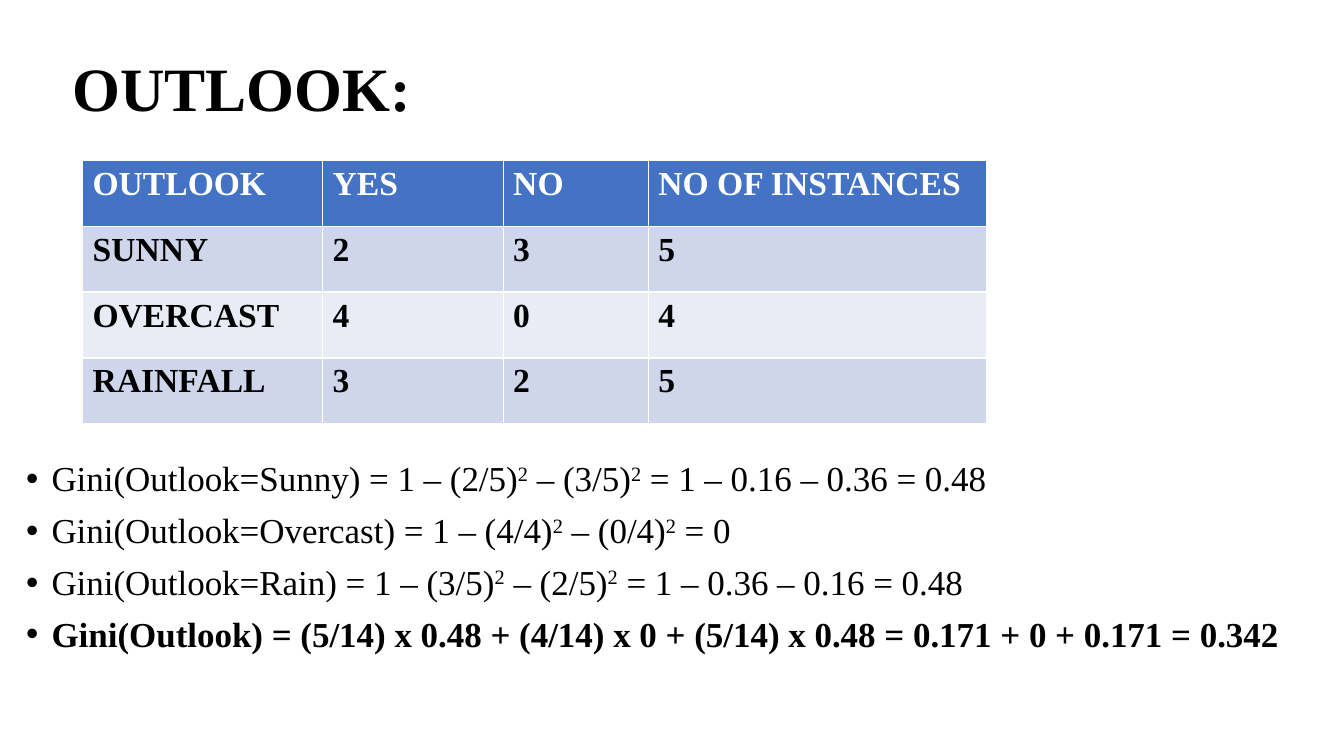
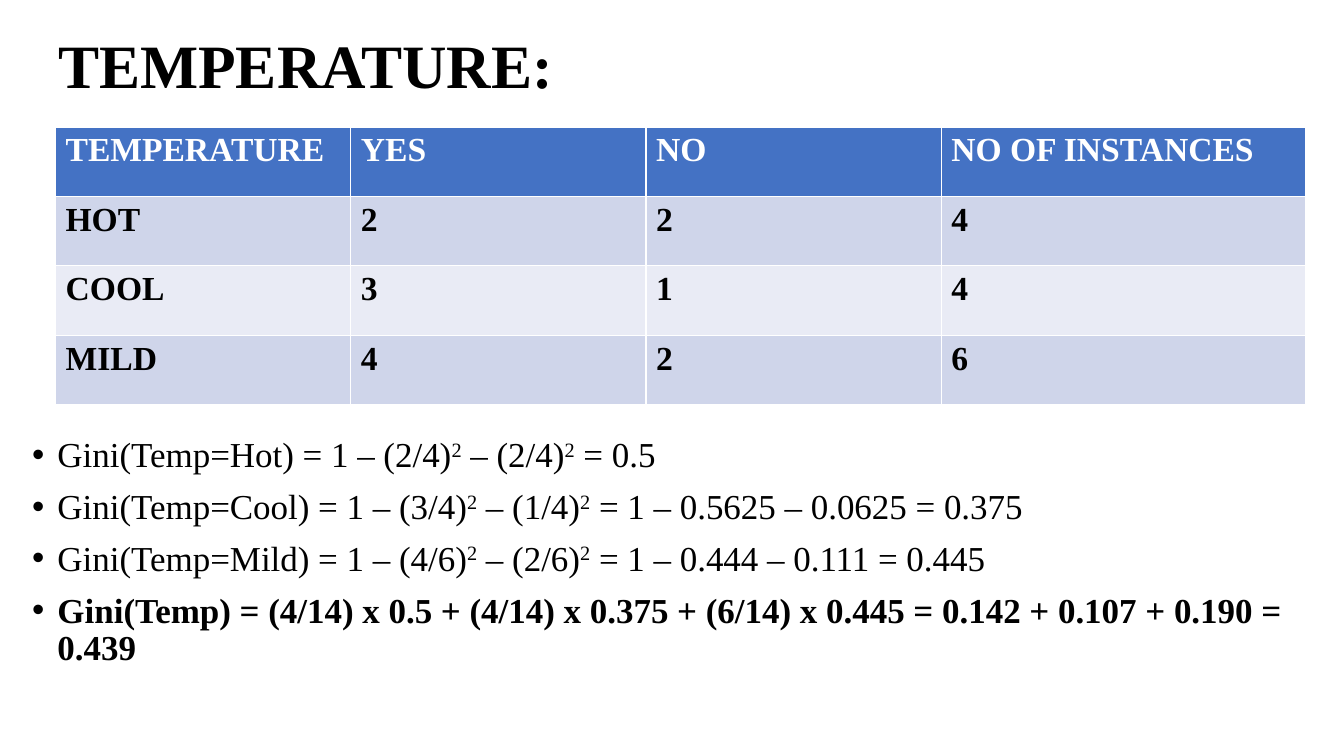
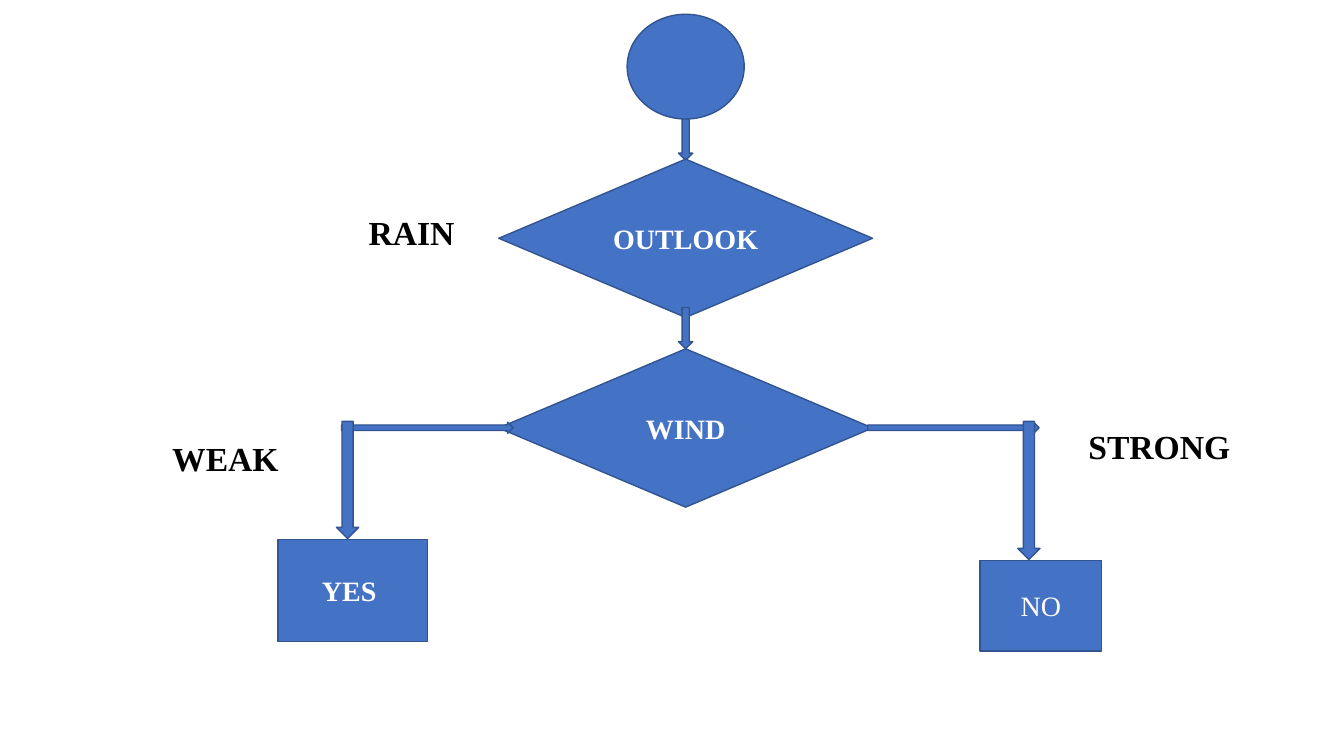
import pptx
import pptx.util
import pptx.dml.color
import pptx.enum.shapes
import pptx.enum.text
import lxml.etree
from pptx.oxml.ns import qn

Cm = pptx.util.Cm
Pt = pptx.util.Pt
SHAPE = pptx.enum.shapes.MSO_SHAPE
ANCHOR = pptx.enum.text.MSO_ANCHOR
ALIGN = pptx.enum.text.PP_ALIGN

FONT = "Times New Roman"
COLORS = {
    "ink": "000000",
    "paper": "FFFFFF",
    "accent": "4472C4",
    "outline": "325491",
    "odd_row": "CFD5EA",
    "even_row": "E9EBF5",
}
COUNT_HEADINGS = ("YES", "NO", "NO OF INSTANCES")

ATTRIBUTES = [
    {
        "title": "OUTLOOK",
        "title_box": (1.57, 1.02, 29.97, 2.57),
        "counts": [("SUNNY", 2, 3), ("OVERCAST", 4, 0), ("RAINFALL", 3, 2)],
        "table_corner": (2.08, 4.04),
        "columns": (6.05, 4.55, 3.66, 8.53),
        "row_height": 1.66,
        "gini": [
            "Gini(Outlook=Sunny) = 1 – (2/5)² – (3/5)² = 1 – 0.16 – 0.36 = 0.48",
            "Gini(Outlook=Overcast) = 1 – (4/4)² – (0/4)² = 0",
            "Gini(Outlook=Rain) = 1 – (3/5)² – (2/5)² = 1 – 0.36 – 0.16 = 0.48",
            "Gini(Outlook) = (5/14) x 0.48 + (4/14) x 0 + (5/14) x 0.48 = 0.171 + 0 + 0.171 = 0.342",
        ],
        "gini_box": (0.41, 11.51, 33.25, 7.09),
    },
    {
        "title": "TEMPERATURE",
        "title_box": (1.22, 0.66, 29.21, 2.13),
        "counts": [("HOT", 2, 2), ("COOL", 3, 1), ("MILD", 4, 2)],
        "table_corner": (1.4, 3.2),
        "columns": (7.44, 7.44, 7.44, 9.17),
        "row_height": 1.75,
        "gini": [
            "Gini(Temp=Hot) = 1 – (2/4)² – (2/4)² = 0.5",
            "Gini(Temp=Cool) = 1 – (3/4)² – (1/4)² = 1 – 0.5625 – 0.0625 = 0.375",
            "Gini(Temp=Mild) = 1 – (4/6)² – (2/6)² = 1 – 0.444 – 0.111 = 0.445",
            "Gini(Temp) = (4/14) x 0.5 + (4/14) x 0.375 + (6/14) x 0.445 = 0.142 + 0.107 + 0.190 = 0.439",
        ],
        "gini_box": (0.56, 10.9, 32.77, 6.25),
    },
]

AXIS = 17.28
BRANCH_TOP = 10.62
DECISION = (9.42, 3.99)
STEP_ARROW = (0.36, 1.04)
BRANCH_ARROW = (4.32, 0.28)

TREE = [
    (SHAPE.FLOWCHART_CONNECTOR, AXIS, 0.36, (2.95, 2.64), "", False),
    (SHAPE.DIAMOND, AXIS, 8.79, DECISION, "WIND", True),
    (SHAPE.RIGHT_ARROW, 24.03, 10.64, BRANCH_ARROW, "", False),
    (SHAPE.RIGHT_ARROW, 10.77, 10.64, BRANCH_ARROW, "", False),
    (SHAPE.DOWN_ARROW, 8.76, BRANCH_TOP, (0.56, 2.95), "", False),
    (SHAPE.DOWN_ARROW, 25.93, BRANCH_TOP, (0.56, 3.48), "", False),
    (SHAPE.DOWN_ARROW, AXIS, 3, STEP_ARROW, "", False),
    (SHAPE.DIAMOND, AXIS, 4.01, DECISION, "OUTLOOK", True),
    (SHAPE.DOWN_ARROW, AXIS, 7.75, STEP_ARROW, "", False),
    (SHAPE.RECTANGLE, 8.89, 13.59, (3.76, 2.57), "YES\u00a0", True),
    (SHAPE.RECTANGLE, 26.23, 14.12, (3.07, 2.29), "NO", False),
]
BRANCH_LABELS = [
    ("RAIN", (9.04, 5.21, 4.22, 1.27)),
    ("STRONG", (27.18, BRANCH_TOP, 4.88, 1.27)),
    ("WEAK", (4.09, 10.92, 3.78, 1.27)),
]


def rgb(name):
    return pptx.dml.color.RGBColor.from_string(COLORS[name])


def style(paragraph, size, color="ink", bold=True):
    for run in paragraph.runs:
        run.font.name = FONT
        run.font.size = Pt(size)
        run.font.bold = bold
        run.font.color.rgb = rgb(color)


def add_text_frame(slide, box):
    frame = slide.shapes.add_textbox(*map(Cm, box)).text_frame
    frame.word_wrap = True
    return frame


def add_title(slide, title, box):
    frame = add_text_frame(slide, box)
    frame.vertical_anchor = ANCHOR.MIDDLE
    frame.text = title + ":"
    frame.paragraphs[0].line_spacing = 0.9
    style(frame.paragraphs[0], 44)


def add_bullet(paragraph):
    properties = paragraph._p.get_or_add_pPr()
    properties.set("marL", str(Cm(0.64)))
    properties.set("indent", str(Cm(-0.64)))
    lxml.etree.SubElement(properties, qn("a:buFont")).set("typeface", "Arial")
    lxml.etree.SubElement(properties, qn("a:buChar")).set("char", "•")


def add_gini(slide, lines, box):
    frame = add_text_frame(slide, box)
    for number, line in enumerate(lines):
        paragraph = frame.add_paragraph() if number else frame.paragraphs[0]
        paragraph.line_spacing = 0.9
        paragraph.space_before = Pt(10)
        add_bullet(paragraph)
        for position, term in enumerate(line.replace("² ", "²\u00a0").split("²")):
            if position:
                square = paragraph.add_run()
                square.text = "2"
                square._r.get_or_add_rPr().set("baseline", "30000")
            paragraph.add_run().text = term
        style(paragraph, 25, bold=line == lines[-1])


def add_counts(slide, attribute):
    rows = [(attribute["title"], *COUNT_HEADINGS)]
    rows += [(value, yes, no, yes + no) for value, yes, no in attribute["counts"]]
    widths = attribute["columns"]
    height = attribute["row_height"]
    size = (sum(widths), height * len(rows))
    counts = slide.shapes.add_table(
        len(rows), len(widths), *map(Cm, attribute["table_corner"] + size)
    ).table
    for column, width in zip(counts.columns, widths):
        column.width = Cm(width)
    for number, row in enumerate(rows):
        counts.rows[number].height = Cm(height)
        band = ("odd_row" if number % 2 else "even_row") if number else "accent"
        for position, entry in enumerate(row):
            cell = counts.cell(number, position)
            cell.text = str(entry)
            cell.fill.solid()
            cell.fill.fore_color.rgb = rgb(band)
            style(cell.text_frame.paragraphs[0], 24, "ink" if number else "paper")


def add_node(slide, kind, center, top, size, caption, bold):
    width, height = size
    node = slide.shapes.add_shape(
        kind, Cm(center - width / 2), Cm(top), Cm(width), Cm(height)
    )
    node.shadow.inherit = False
    node.fill.solid()
    node.fill.fore_color.rgb = rgb("accent")
    node.line.color.rgb = rgb("outline")
    node.line.width = Pt(1)
    if caption:
        node.text_frame.text = caption
        node.text_frame.vertical_anchor = ANCHOR.MIDDLE
        node.text_frame.paragraphs[0].alignment = ALIGN.CENTER
        style(node.text_frame.paragraphs[0], 20, "paper", bold)


deck = pptx.Presentation()
deck.slide_width, deck.slide_height = Cm(33.87), Cm(19.05)
blank = deck.slide_layouts[6]

for attribute in ATTRIBUTES:
    slide = deck.slides.add_slide(blank)
    add_title(slide, attribute["title"], attribute["title_box"])
    add_gini(slide, attribute["gini"], attribute["gini_box"])
    add_counts(slide, attribute)

tree_slide = deck.slides.add_slide(blank)
for node in TREE:
    add_node(tree_slide, *node)
for label, box in BRANCH_LABELS:
    frame = add_text_frame(tree_slide, box)
    frame.text = label
    style(frame.paragraphs[0], 24)

deck.save("out.pptx")
